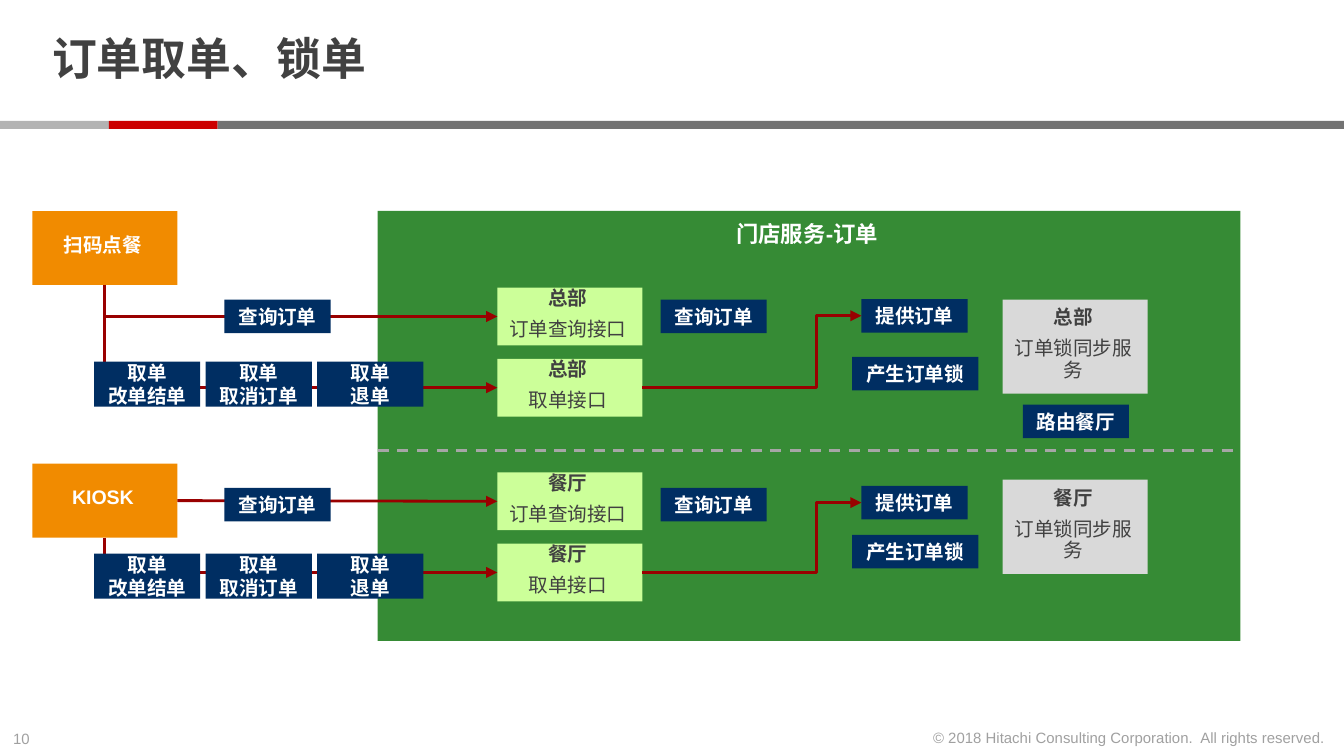
from dataclasses import dataclass

from lxml.etree import SubElement
from pptx import Presentation
from pptx.dml.color import RGBColor
from pptx.enum.dml import MSO_LINE
from pptx.enum.shapes import MSO_CONNECTOR, MSO_SHAPE
from pptx.enum.text import MSO_ANCHOR, PP_ALIGN
from pptx.oxml.ns import qn
from pptx.util import Inches, Pt

# One grid cell is a hundredth of the slide width, across and down.
CELL = Inches(0.1)
COLUMNS, ROWS = 100, 56.25

LATIN, CHINESE = "Arial", "Noto Sans CJK SC"
GREEN, LIME, ORANGE, NAVY = "368B35", "CCFF99", "F18B00", "002E62"
SILVER, DASH_GREY, DARK_RED = "D9D9D9", "A6A6A6", "990000"
INK, FAINT, WHITE = "414141", "A0A0A0", "FFFFFF"

BOX_INSETS = (0.7, 0, 1, 0.3)
BADGE_INSETS = (1, 0.5, 1, 0.5)
BOX_WIDTH, SOURCE_HEIGHT, API_HEIGHT, SYNC_HEIGHT = 10.8, 5.5, 4.3, 7
BADGE_WIDTH, BADGE_HEIGHT, STEP_HEIGHT, STEP_PITCH = 7.9, 2.5, 3.35, 8.3
SOURCE_LEFT, API_LEFT, PROVIDE_LEFT, SYNC_LEFT = 2.4, 37, 64.1, 74.6
QUERY_LEFTS = (16.7, 49.15)
API_PITCH = 5.3
STEPS = ("改单结单", "取消订单", "退单")
BEND_COLUMN = 60.75


@dataclass
class Area:
    left: float
    top: float
    width: float
    height: float


@dataclass
class Lane:
    """One half of the flow; every top is a grid row."""
    owner: str
    source: str
    source_top: float
    api_top: float
    query_top: float
    provide_top: float
    lock_top: float
    step_top: float
    sync_top: float


LANES = (
    Lane("总部", "扫码点餐", 15.7, 21.4, 22.3, 22.25, 26.55, 26.9, 22.3),
    Lane("餐厅", "KIOSK", 34.5, 35.15, 36.3, 36.15, 39.8, 41.2, 35.7),
)


def cells(count: float) -> int:
    return round(count * CELL)


def colour(hex_string: str) -> RGBColor:
    return RGBColor.from_string(hex_string)


def write(shape, *lines: str, size=10.5, color=INK, font=CHINESE, bold=(True,),
          align=PP_ALIGN.CENTER, anchor=MSO_ANCHOR.MIDDLE, insets=BOX_INSETS,
          line_spacing=0.9, gap=0.0, wrap=True) -> None:
    """Fill a shape with paragraphs; the last bold value serves the remaining lines."""
    frame = shape.text_frame
    frame.word_wrap = wrap
    frame.vertical_anchor = anchor
    (frame.margin_left, frame.margin_top,
     frame.margin_right, frame.margin_bottom) = map(cells, insets)
    for index, line in enumerate(lines):
        paragraph = frame.add_paragraph() if index else frame.paragraphs[0]
        paragraph.alignment = align
        paragraph.line_spacing = line_spacing
        paragraph.space_before = Pt(gap if index else 0)
        run = paragraph.add_run()
        run.text = line
        run.font.name = font
        run.font.size = Pt(size)
        run.font.bold = bold[min(index, len(bold) - 1)]
        run.font.color.rgb = colour(color)
        SubElement(run.font._element, qn("a:ea"), typeface=CHINESE)


def add_box(slide, area: Area, fill: str):
    shape = slide.shapes.add_shape(
        MSO_SHAPE.RECTANGLE,
        *map(cells, (area.left, area.top, area.width, area.height)))
    shape.shadow.inherit = False
    shape.fill.solid()
    shape.fill.fore_color.rgb = colour(fill)
    shape.line.fill.background()
    return shape


def add_label(slide, area: Area, text: str, **text_format) -> None:
    box = slide.shapes.add_textbox(
        *map(cells, (area.left, area.top, area.width, area.height)))
    write(box, text, **text_format)


def add_badge(slide, left: float, top: float, *lines: str,
              width=BADGE_WIDTH, height=BADGE_HEIGHT) -> None:
    badge = add_box(slide, Area(left, top, width, height), NAVY)
    write(badge, *lines, color=WHITE, insets=BADGE_INSETS, line_spacing=1.0)


def add_line(slide, start: tuple, end: tuple, kind=MSO_CONNECTOR.STRAIGHT,
             color=DARK_RED, arrow=True):
    connector = slide.shapes.add_connector(kind, *map(cells, (*start, *end)))
    connector.line.color.rgb = colour(color)
    connector.line.width = Pt(1.5)
    properties = connector._element.spPr
    if arrow:
        SubElement(properties.find(qn("a:ln")), qn("a:tailEnd"), type="triangle")
    SubElement(properties, qn("a:effectLst"))
    return connector


def add_down_then_right(slide, start: tuple, end: tuple) -> None:
    """Draw a one-bend arrow: the preset goes right then down, so turn and flip it."""
    connector = add_line(slide, start, end, MSO_CONNECTOR.ELBOW)
    across, down = end[0] - start[0], end[1] - start[1]
    connector.left = cells((start[0] + end[0] - down) / 2)
    connector.top = cells((start[1] + end[1] - across) / 2)
    connector.width, connector.height = cells(down), cells(across)
    properties = connector._element.spPr
    properties.find(qn("a:prstGeom")).set("prst", "bentConnector2")
    transform = properties.find(qn("a:xfrm"))
    transform.set("rot", str(270 * 60000))
    transform.set("flipH", "1")


def add_right_up_right(slide, start: tuple, end: tuple, bend: float) -> None:
    connector = add_line(slide, start, end, MSO_CONNECTOR.ELBOW)
    share = (bend - start[0]) / (end[0] - start[0])
    adjustments = connector._element.spPr.find(qn("a:prstGeom")).get_or_add_avLst()
    SubElement(adjustments, qn("a:gd"), name="adj1", fmla=f"val {round(share * 100000)}")


def draw_frame(slide) -> None:
    add_label(slide, Area(0, 53.8, 3.4, 2.4), "10", size=8, color=FAINT, font=LATIN,
              bold=(False,), align=PP_ALIGN.LEFT, anchor=MSO_ANCHOR.TOP,
              insets=BADGE_INSETS, line_spacing=1.0, wrap=False)
    add_label(slide, Area(68, 53.75, 31.6, 2.4),
              "© 2018 Hitachi Consulting Corporation.\u00a0 All rights reserved.".replace("\u00a0", " "),
              size=8, color=FAINT, font=LATIN, bold=(False,), align=PP_ALIGN.RIGHT,
              anchor=MSO_ANCHOR.TOP, insets=BADGE_INSETS, line_spacing=1.0, wrap=False)
    for left, right, fill in ((0, 8.1, "B3B3B3"), (8.1, 16.2, "CC0000"),
                              (16.2, COLUMNS, "737373")):
        add_box(slide, Area(left, 9, right - left, 0.6), fill)
    add_label(slide, Area(2.9, 0.6, 77.1, 8), "订单取单、锁单", size=24, font=LATIN,
              align=PP_ALIGN.LEFT, insets=(1, 0, 1, 0), line_spacing=0.85)
    panel = add_box(slide, Area(28.1, 15.7, 64.2, 32), GREEN)
    write(panel, "门店服务-订单", size=12, color=WHITE, font=LATIN,
          anchor=MSO_ANCHOR.TOP, insets=(0.7, 0.9, 1, 0.3))
    divider = add_line(slide, (28.1, 33.5), (92.3, 33.5), color=DASH_GREY, arrow=False)
    divider.line.dash_style = MSO_LINE.DASH


def draw_lane(slide, lane: Lane, query_from_side: bool) -> None:
    source = add_box(slide, Area(SOURCE_LEFT, lane.source_top, BOX_WIDTH, SOURCE_HEIGHT), ORANGE)
    write(source, lane.source, color=WHITE, font=LATIN)
    cards = (
        (API_LEFT, lane.api_top, API_HEIGHT, LIME, "订单查询接口"),
        (API_LEFT, lane.api_top + API_PITCH, API_HEIGHT, LIME, "取单接口"),
        (SYNC_LEFT, lane.sync_top, SYNC_HEIGHT, SILVER, "订单锁同步服务"),
    )
    for left, top, height, fill, service in cards:
        card = add_box(slide, Area(left, top, BOX_WIDTH, height), fill)
        write(card, lane.owner, service, bold=(True, False), gap=5.25)

    source_bottom = (SOURCE_LEFT + BOX_WIDTH / 2, lane.source_top + SOURCE_HEIGHT)
    query_row = lane.api_top + API_HEIGHT / 2
    take_row = query_row + API_PITCH
    if query_from_side:
        add_line(slide, (SOURCE_LEFT + BOX_WIDTH, lane.source_top + SOURCE_HEIGHT / 2),
                 (API_LEFT, query_row))
    else:
        add_down_then_right(slide, source_bottom, (API_LEFT, query_row))
    add_down_then_right(slide, source_bottom, (API_LEFT, take_row))
    add_right_up_right(slide, (API_LEFT + BOX_WIDTH, take_row),
                       (PROVIDE_LEFT, lane.provide_top + BADGE_HEIGHT / 2), BEND_COLUMN)

    for left in QUERY_LEFTS:
        add_badge(slide, left, lane.query_top, "查询订单")
    add_badge(slide, PROVIDE_LEFT, lane.provide_top, "提供订单")
    add_badge(slide, 63.4, lane.lock_top, "产生订单锁", width=9.4)
    for index, step in enumerate(STEPS):
        add_badge(slide, 7 + index * STEP_PITCH, lane.step_top, "取单", step, height=STEP_HEIGHT)


def main() -> None:
    presentation = Presentation()
    presentation.slide_width, presentation.slide_height = cells(COLUMNS), cells(ROWS)
    slide = presentation.slides.add_slide(presentation.slide_layouts[6])
    draw_frame(slide)
    for index, lane in enumerate(LANES):
        draw_lane(slide, lane, query_from_side=index == 1)
    add_badge(slide, 76.1, 30.1, "路由餐厅")
    presentation.save("out.pptx")


if __name__ == "__main__":
    main()
